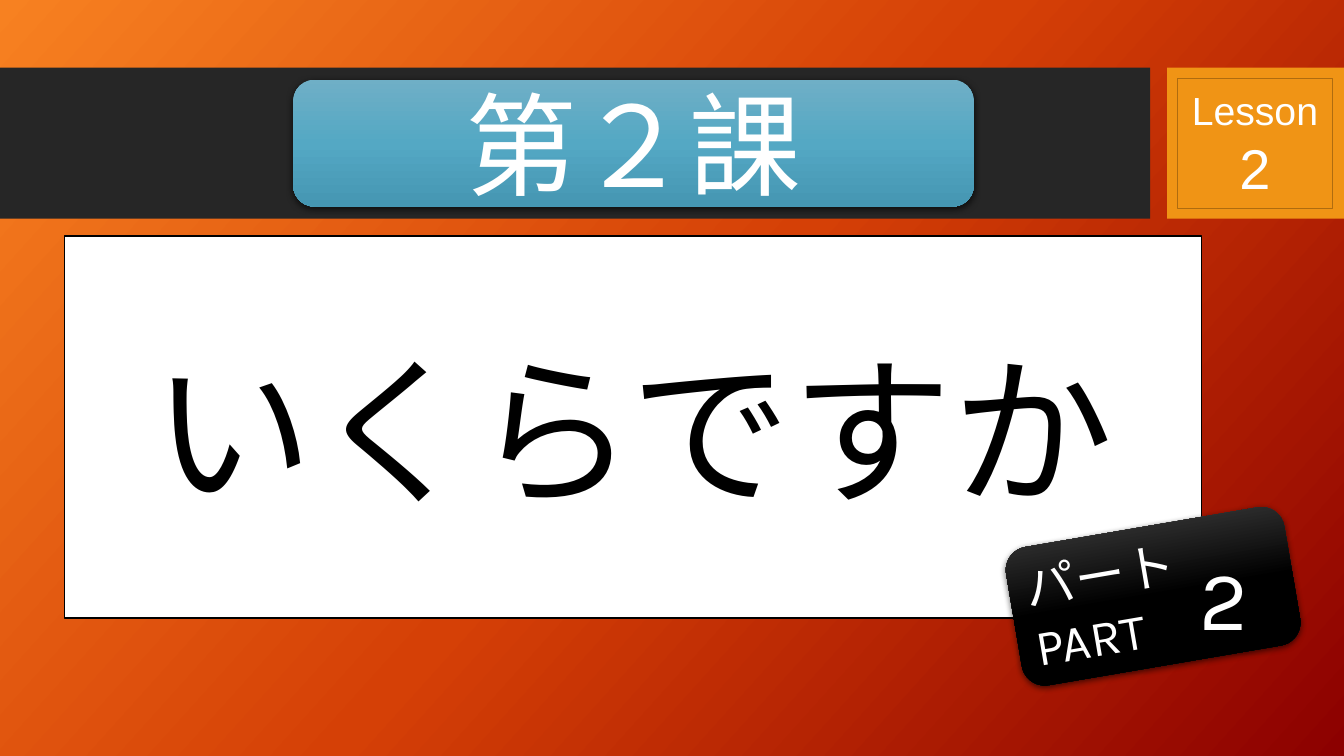
from dataclasses import dataclass
from copy import deepcopy

from lxml.etree import SubElement
from pptx import Presentation
from pptx.dml.color import RGBColor
from pptx.dml.fill import FillFormat
from pptx.enum.shapes import MSO_SHAPE
from pptx.enum.text import MSO_ANCHOR, MSO_AUTO_SIZE, PP_ALIGN
from pptx.oxml import parse_xml
from pptx.oxml.ns import nsdecls, qn
from pptx.oxml.xmlchemy import BaseOxmlElement
from pptx.shapes.base import BaseShape
from pptx.slide import Slide
from pptx.util import Pt

WHITE, BLACK, ORANGE = "FFFFFF", "000000", "F09415"


@dataclass(frozen=True)
class TextRun:
    text: str
    size: float


@dataclass(frozen=True)
class Box:
    left: float
    top: float
    width: float
    height: float
    fill: str | tuple[str, str, str] | None = None
    line: str | None = None
    rounded: bool = True
    shadow: bool = False
    rotation: float = 0
    paragraphs: tuple[tuple[TextRun, ...], ...] = ()
    font: str = "Arial"
    text_color: str = WHITE
    alignment: PP_ALIGN = PP_ALIGN.CENTER


BANNER = Box(0, 48.24, 821.52, 108, "262626", rounded=False)
LESSON_PANEL = Box(833.76, 48.24, 126.24, 108, ORANGE, rounded=False)
LESSON_TITLE = Box(209.52, 56.88, 486, 90.72, ("6FAFC6", "54A8C4", "4596B2"),
                   shadow=True, paragraphs=((TextRun("第２課", 80),),))
TOPIC = Box(46.08, 168.48, 812.16, 272.88, WHITE, line=BLACK,
            paragraphs=((TextRun("いくらですか", 115),),), text_color=BLACK)
PART_LABEL = Box(722.88, 375.84, 201.6, 100.08, ("484848", BLACK, BLACK),
                 shadow=True, rotation=350.3, font="Karla", alignment=PP_ALIGN.LEFT,
                 paragraphs=((TextRun("パート", 36),), (TextRun("PART", 36),)))
PART_NUMBER = Box(840.96, 393.12, 66.24, 66.24, font="Karla",
                  paragraphs=((TextRun("2", 60),),))
LESSON_NUMBER = Box(840.96, 56.16, 110.88, 92.88, ORANGE, line="AF6C0F", rounded=False,
                    paragraphs=((TextRun("Lesson ", 28), TextRun("2", 40)),))


def color(value: str) -> RGBColor:
    return RGBColor.from_string(value)


def apply_gradient(fill: FillFormat, owner: BaseOxmlElement,
                   colors: tuple[str, str, str], clockwise_angle: float) -> None:
    """Fill with three evenly spaced stops; owner is the element holding the fill."""
    fill.gradient()
    fill.gradient_angle = 360 - clockwise_angle
    stop_list = owner.xpath(".//a:gsLst")[0]
    stop_list.insert(1, deepcopy(stop_list[0]))
    for index, (stop, value) in enumerate(zip(fill.gradient_stops, colors)):
        stop.color.rgb = color(value)
        stop.position = index / 2


def add_shadow(shape: BaseShape) -> None:
    effects = shape.element.spPr.find(qn("a:effectLst"))
    outer = SubElement(effects, qn("a:outerShdw"), blurRad=str(Pt(4.5)),
                       dist=str(Pt(1.5)), dir="5400000", algn="ctr", rotWithShape="0")
    shadow_color = SubElement(outer, qn("a:srgbClr"), val=BLACK)
    SubElement(shadow_color, qn("a:alpha"), val="63000")


def write_text(shape: BaseShape, box: Box) -> None:
    frame = shape.text_frame
    frame.word_wrap = True
    frame.auto_size = MSO_AUTO_SIZE.NONE
    frame.vertical_anchor = MSO_ANCHOR.MIDDLE
    for index, text_runs in enumerate(box.paragraphs):
        paragraph = frame.add_paragraph() if index else frame.paragraphs[0]
        paragraph.alignment = box.alignment
        for text_run in text_runs:
            run = paragraph.add_run()
            run.text = text_run.text
            run.font.name = box.font
            run.font.size = Pt(text_run.size)
            run.font.color.rgb = color(box.text_color)


def format_shape(shape: BaseShape, box: Box) -> None:
    shape.rotation = box.rotation
    shape.shadow.inherit = False
    if box.fill is None:
        shape.fill.background()
    elif isinstance(box.fill, str):
        shape.fill.solid()
        shape.fill.fore_color.rgb = color(box.fill)
    else:
        apply_gradient(shape.fill, shape.element.spPr, box.fill, 90)
    if box.line:
        shape.line.color.rgb = color(box.line)
        shape.line.width = Pt(1)
    else:
        shape.line.fill.background()
    if box.shadow:
        add_shadow(shape)
    write_text(shape, box)


def add_box(slide: Slide, box: Box) -> None:
    preset = MSO_SHAPE.ROUNDED_RECTANGLE if box.rounded else MSO_SHAPE.RECTANGLE
    shape = slide.shapes.add_shape(preset, Pt(box.left), Pt(box.top),
                                   Pt(box.width), Pt(box.height))
    format_shape(shape, box)


def place_title(slide: Slide, box: Box) -> None:
    """Turn the title placeholder into a rounded panel."""
    title = slide.shapes.title
    title.left, title.top = Pt(box.left), Pt(box.top)
    title.width, title.height = Pt(box.width), Pt(box.height)
    title.element.spPr.find(qn("a:xfrm")).addnext(parse_xml(
        f'<a:prstGeom {nsdecls("a")} prst="roundRect"><a:avLst/></a:prstGeom>'))
    format_shape(title, box)


def main() -> None:
    presentation = Presentation()
    presentation.slide_width, presentation.slide_height = Pt(960), Pt(540)
    slide = presentation.slides.add_slide(presentation.slide_layouts[5])
    apply_gradient(slide.background.fill, slide.element,
                   ("F78121", "D54006", "8C0000"), 42)
    place_title(slide, TOPIC)
    for box in (BANNER, LESSON_PANEL, LESSON_TITLE, PART_LABEL, PART_NUMBER, LESSON_NUMBER):
        add_box(slide, box)
    presentation.save("out.pptx")


if __name__ == "__main__":
    main()
